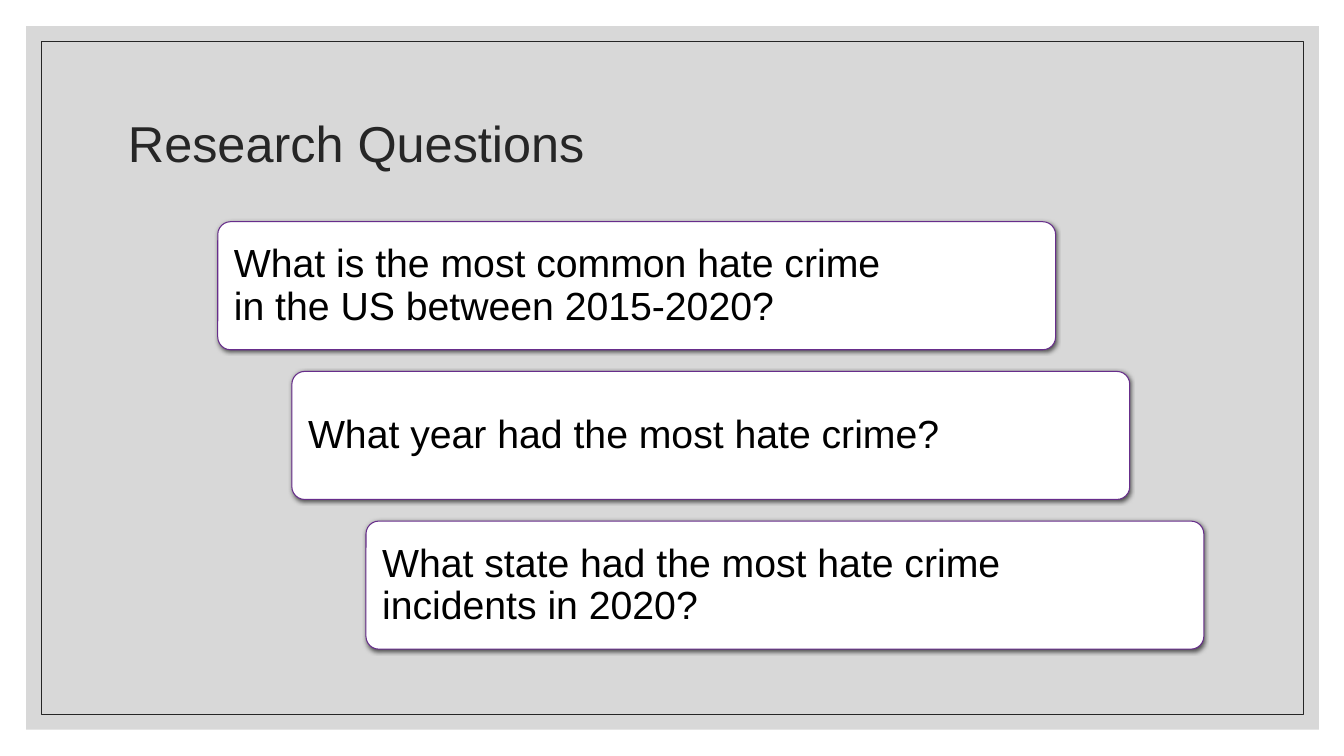
from dataclasses import dataclass

from lxml.etree import SubElement
from pptx import Presentation
from pptx.dml.color import RGBColor
from pptx.enum.shapes import MSO_SHAPE
from pptx.enum.text import MSO_ANCHOR
from pptx.oxml.ns import qn
from pptx.util import Inches, Pt


@dataclass(frozen=True)
class Theme:
    font: str = "Arial"
    ink: str = "262626"
    panel: str = "BFBFBF"
    card_top: str = "FFFFFF"
    card_bottom: str = "FCFCFC"
    card_line: str = "672D8B"
    black: str = "000000"
    title_size: int = 36
    question_size: int = 28
    line_width: float = 0.75


theme = Theme()


def add_text(text, left, top, width, height, size, color, inset_x=0.1, inset_y=0.05):
    box = page.shapes.add_textbox(Inches(left), Inches(top), Inches(width), Inches(height))
    frame = box.text_frame
    frame.word_wrap = True
    frame.vertical_anchor = MSO_ANCHOR.MIDDLE
    frame.margin_left = frame.margin_right = Inches(inset_x)
    frame.margin_top = frame.margin_bottom = Inches(inset_y)
    para = frame.paragraphs[0]
    para.line_spacing = 0.9
    span = para.add_run()
    span.text = text
    span.font.name = theme.font
    span.font.size = Pt(size)
    span.font.color.rgb = RGBColor.from_string(color)


def add_panel(kind, left, top, width, height, line=None):
    """Add an unfilled shape without shadow, outlined only if a line colour is given."""
    shape = page.shapes.add_shape(kind, Inches(left), Inches(top), Inches(width), Inches(height))
    shape.shadow.inherit = False
    shape.fill.background()
    if line:
        shape.line.color.rgb = RGBColor.from_string(line)
        shape.line.width = Pt(theme.line_width)
    else:
        shape.line.fill.background()
    return shape


deck = Presentation()
deck.slide_width, deck.slide_height = Inches(13.33), Inches(7.5)
page = deck.slides.add_slide(deck.slide_layouts[6])

# Grey backdrop and its inner frame
backdrop = add_panel(MSO_SHAPE.RECTANGLE, 0.26, 0.26, 12.82, 6.98)
backdrop.fill.solid()
backdrop.fill.fore_color.rgb = RGBColor.from_string(theme.panel)
backdrop_color = backdrop.fill._xPr.find(qn("a:solidFill"))[0]
SubElement(backdrop_color, qn("a:alpha"), val="60000")
add_panel(MSO_SHAPE.RECTANGLE, 0.41, 0.41, 12.52, 6.68, line=theme.ink)

add_text("Research Questions", 1.17, 0.7, 11, 1.5, theme.title_size, theme.ink)

# Cards step down and to the right by equal amounts
questions = [
    ("What is the most common hate crime in the US between 2015-2020?", 6.94),
    ("What year had the most hate crime?", 6.68),
    ("What state had the most hate crime incidents in 2020?", 6.68),
]
step_x, step_y = 1.47 / 2, 2.97 / 2

for index, (question, text_width) in enumerate(questions):
    left, top = 2.16 + index * step_x, 2.2 + index * step_y
    card = add_panel(MSO_SHAPE.ROUNDED_RECTANGLE, left, top, 8.31, 1.27, line=theme.card_line)
    card.adjustments[0] = 0.1
    card.fill.gradient()
    card.fill.gradient_angle = 270
    for stop, color in zip(card.fill.gradient_stops, (theme.card_top, theme.card_bottom)):
        stop.color.rgb = RGBColor.from_string(color)
    effects = card.element.spPr.find(qn("a:effectLst"))
    shadow = SubElement(effects, qn("a:outerShdw"), blurRad=str(Pt(3)), dist=str(Pt(1)),
                        dir="5400000", algn="ctr", rotWithShape="0")
    shadow_color = SubElement(shadow, qn("a:srgbClr"), val=theme.black)
    SubElement(shadow_color, qn("a:alpha"), val="63000")
    add_text(question, left + 0.04, top + 0.04, text_width, 1.2, theme.question_size,
             theme.black, inset_x=0.12, inset_y=0.12)

deck.save("out.pptx")
